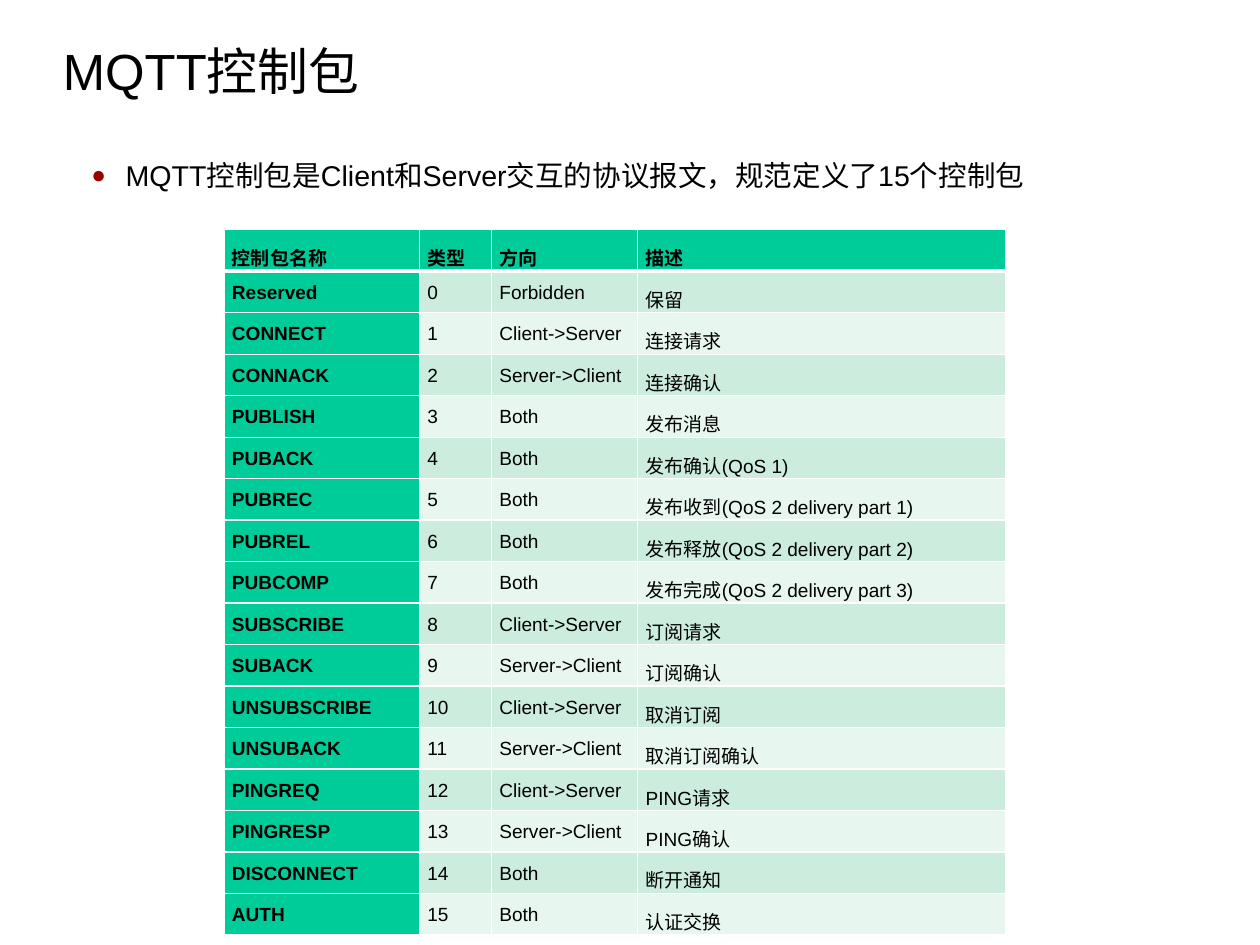
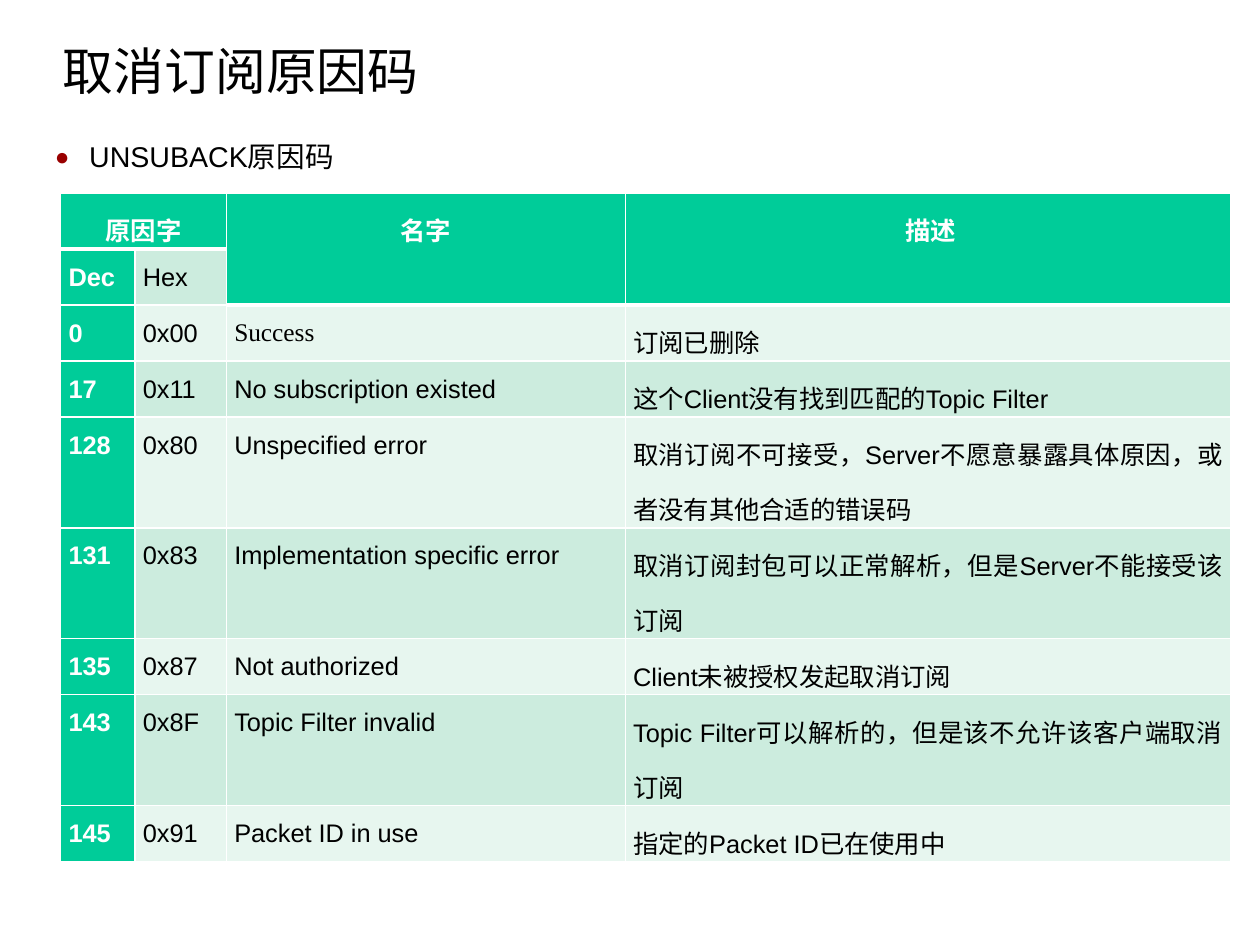
from lxml import etree
from pptx import Presentation
from pptx.dml.color import RGBColor
from pptx.enum.text import MSO_ANCHOR, MSO_AUTO_SIZE, PP_ALIGN
from pptx.oxml.ns import qn
from pptx.util import Inches, Pt

LEFT, CENTER, JUSTIFY = PP_ALIGN.LEFT, PP_ALIGN.CENTER, PP_ALIGN.JUSTIFY
TOP, MIDDLE = MSO_ANCHOR.TOP, MSO_ANCHOR.MIDDLE
NO_AUTOFIT = MSO_AUTO_SIZE.NONE
LATIN_FONT, CHINESE_FONT, SERIF_FONT = "Arial", "Noto Sans CJK SC", "Times New Roman"
BLACK, WHITE, BULLET_RED = "000000", "FFFFFF", "990000"
GREEN, BAND_DARK, BAND_LIGHT = "00CC99", "CCECDE", "E7F6EF"
CENTIMETRES_PER_INCH = 2.54

TO_SERVER, TO_CLIENT, BOTH = "Client->Server", "Server->Client", "Both"
PACKETS = [
    ("Reserved", "Forbidden", "保留"),
    ("CONNECT", TO_SERVER, "连接请求"),
    ("CONNACK", TO_CLIENT, "连接确认"),
    ("PUBLISH", BOTH, "发布消息"),
    ("PUBACK", BOTH, "发布确认(QoS 1)"),
    ("PUBREC", BOTH, "发布收到(QoS 2 delivery part 1)"),
    ("PUBREL", BOTH, "发布释放(QoS 2 delivery part 2)"),
    ("PUBCOMP", BOTH, "发布完成(QoS 2 delivery part 3)"),
    ("SUBSCRIBE", TO_SERVER, "订阅请求"),
    ("SUBACK", TO_CLIENT, "订阅确认"),
    ("UNSUBSCRIBE", TO_SERVER, "取消订阅"),
    ("UNSUBACK", TO_CLIENT, "取消订阅确认"),
    ("PINGREQ", TO_SERVER, "PING请求"),
    ("PINGRESP", TO_CLIENT, "PING确认"),
    ("DISCONNECT", BOTH, "断开通知"),
    ("AUTH", BOTH, "认证交换"),
]
REASONS = [
    (0, "Success", "订阅已删除"),
    (17, "No subscription existed", "这个Client没有找到匹配的Topic Filter"),
    (128, "Unspecified error", "取消订阅不可接受，Server不愿意暴露具体原因，或者没有其他合适的错误码"),
    (131, "Implementation specific error", "取消订阅封包可以正常解析，但是Server不能接受该订阅"),
    (135, "Not authorized", "Client未被授权发起取消订阅"),
    (143, "Topic Filter invalid", "Topic Filter可以解析的，但是该不允许该客户端取消订阅"),
    (145, "Packet ID in use", "指定的Packet ID已在使用中"),
]


def color(value):
    return RGBColor.from_string(value)


class Deck:
    def __init__(self):
        self.presentation = Presentation()
        self.presentation.slide_width = Inches(28 / CENTIMETRES_PER_INCH)
        self.presentation.slide_height = Inches(21 / CENTIMETRES_PER_INCH)
        slide_size = self.presentation.element.find(qn("p:sldSz"))
        slide_size.attrib.pop("type", None)
        self.slide = None

    def place(self, shape, left, top, width, height):
        shape.left, shape.top = Inches(left), Inches(top)
        shape.width, shape.height = Inches(width), Inches(height)

    def style_runs(self, paragraph, size, ink=BLACK, bold=False, font=LATIN_FONT):
        for run in paragraph.runs:
            run.font.size = Pt(size)
            run.font.bold = bold
            run.font.name = font
            run.font.color.rgb = color(ink)
            east_asian = etree.Element(qn("a:ea"), typeface=CHINESE_FONT)
            run.font._element.find(qn("a:latin")).addnext(east_asian)

    def set_margins(self, frame, horizontal, vertical):
        frame.margin_left = frame.margin_right = Inches(horizontal)
        frame.margin_top = frame.margin_bottom = Inches(vertical)

    def add_slide(self, title):
        layout = self.presentation.slide_layouts[1]
        self.slide = self.presentation.slides.add_slide(layout)
        shape = self.slide.shapes.title
        self.place(shape, 0.55, 0.19, 9.92, 0.87)
        frame = shape.text_frame
        frame.text = title
        frame.auto_size = NO_AUTOFIT
        frame.vertical_anchor = MIDDLE
        self.set_margins(frame, 0, 0)
        frame.margin_top = Inches(0.03)
        paragraph = frame.paragraphs[0]
        paragraph.alignment = LEFT
        paragraph.line_spacing = 0.93
        self.style_runs(paragraph, 32)

    def add_bullet(self, text, left, top, width, height):
        shape = self.slide.placeholders[1]
        self.place(shape, left, top, width, height)
        frame = shape.text_frame
        frame.text = text
        frame.auto_size = NO_AUTOFIT
        frame.vertical_anchor = TOP
        self.set_margins(frame, 0.09, 0.04)
        paragraph = frame.paragraphs[0]
        paragraph.alignment = LEFT
        paragraph.line_spacing = 1.4
        paragraph.space_before = paragraph.space_after = Pt(4.5)
        properties = paragraph._p.get_or_add_pPr()
        properties.set("marL", str(Inches(0.3)))
        properties.set("indent", str(-Inches(0.3)))
        bullet_color = etree.SubElement(properties, qn("a:buClr"))
        etree.SubElement(bullet_color, qn("a:srgbClr"), val=BULLET_RED)
        etree.SubElement(properties, qn("a:buSzPct"), val="85000")
        etree.SubElement(properties, qn("a:buFont"), typeface=LATIN_FONT)
        etree.SubElement(properties, qn("a:buChar"), char="●")
        self.style_runs(paragraph, 18)

    def add_table(self, rows, left, top, widths, heights, size, strong_ink,
                  header_align=JUSTIFY, header_font=LATIN_FONT):
        frame = self.slide.shapes.add_table(
            len(rows), len(widths), Inches(left), Inches(top),
            Inches(sum(widths)), Inches(sum(heights)))
        table = frame.table
        table.first_col = True
        for column, width in zip(table.columns, widths):
            column.width = Inches(width)
        for row, height in zip(table.rows, heights):
            row.height = Inches(height)
        for row_index, values in enumerate(rows):
            header = row_index == 0
            band = BAND_DARK if row_index % 2 else BAND_LIGHT
            for column_index, value in enumerate(values):
                strong = header or column_index == 0
                cell = table.cell(row_index, column_index)
                self.set_margins(cell, 0.07, 0)
                cell.fill.solid()
                cell.fill.fore_color.rgb = color(GREEN if strong else band)
                cell.text_frame.text = value
                paragraph = cell.text_frame.paragraphs[0]
                paragraph.line_spacing = 1.5
                paragraph.alignment = header_align if header else JUSTIFY
                self.style_runs(paragraph, size, strong_ink if strong else BLACK,
                                strong, header_font if header else LATIN_FONT)
                if header:
                    self.add_header_rule(cell)
        return table

    def add_header_rule(self, cell):
        rule = etree.Element(qn("a:lnB"), w=str(Pt(3)))
        fill = etree.SubElement(rule, qn("a:solidFill"))
        etree.SubElement(fill, qn("a:srgbClr"), val=WHITE)
        cell._tc.get_or_add_tcPr().insert(0, rule)


def add_packet_slide(deck):
    deck.add_slide("MQTT控制包")
    deck.add_bullet("MQTT控制包是Client和Server交互的协议报文，规范定义了15个控制包",
                    0.71, 1.22, 9.6, 0.63)
    rows = [("控制包名称", "类型", "方向", "描述")]
    rows += [(name, str(number), direction, description)
             for number, (name, direction, description) in enumerate(PACKETS)]
    deck.add_table(rows, 1.96, 2.01, [1.71, 0.63, 1.28, 3.22],
                   [0.36] * len(rows), 12, BLACK, header_font=CHINESE_FONT)


def add_reason_slide(deck):
    deck.add_slide("取消订阅原因码")
    deck.add_bullet("UNSUBACK原因码", 0.39, 1.06, 10.08, 7.01)
    rows = [("原因字", "", "名字", " 描述"), ("Dec", "Hex", "", "")]
    rows += [(str(code), f"0x{code:02X}", name, description)
             for code, name, description in REASONS]
    single, double = 0.49, 0.97
    heights = [single] * 4 + [double, double, single, double, single]
    table = deck.add_table(rows, 0.53, 1.69, [0.65, 0.8, 3.49, 5.3],
                           heights, 16, WHITE, CENTER)
    table.cell(0, 0).merge(table.cell(0, 1))
    for column_index in (2, 3):
        lower = table.cell(1, column_index)
        table.cell(0, column_index).merge(lower)
        deck.add_header_rule(lower)
    success = table.cell(2, 2).text_frame.paragraphs[0]
    success.runs[0].font.name = SERIF_FONT


def main():
    deck = Deck()
    add_packet_slide(deck)
    add_reason_slide(deck)
    deck.presentation.save("out.pptx")


if __name__ == "__main__":
    main()
